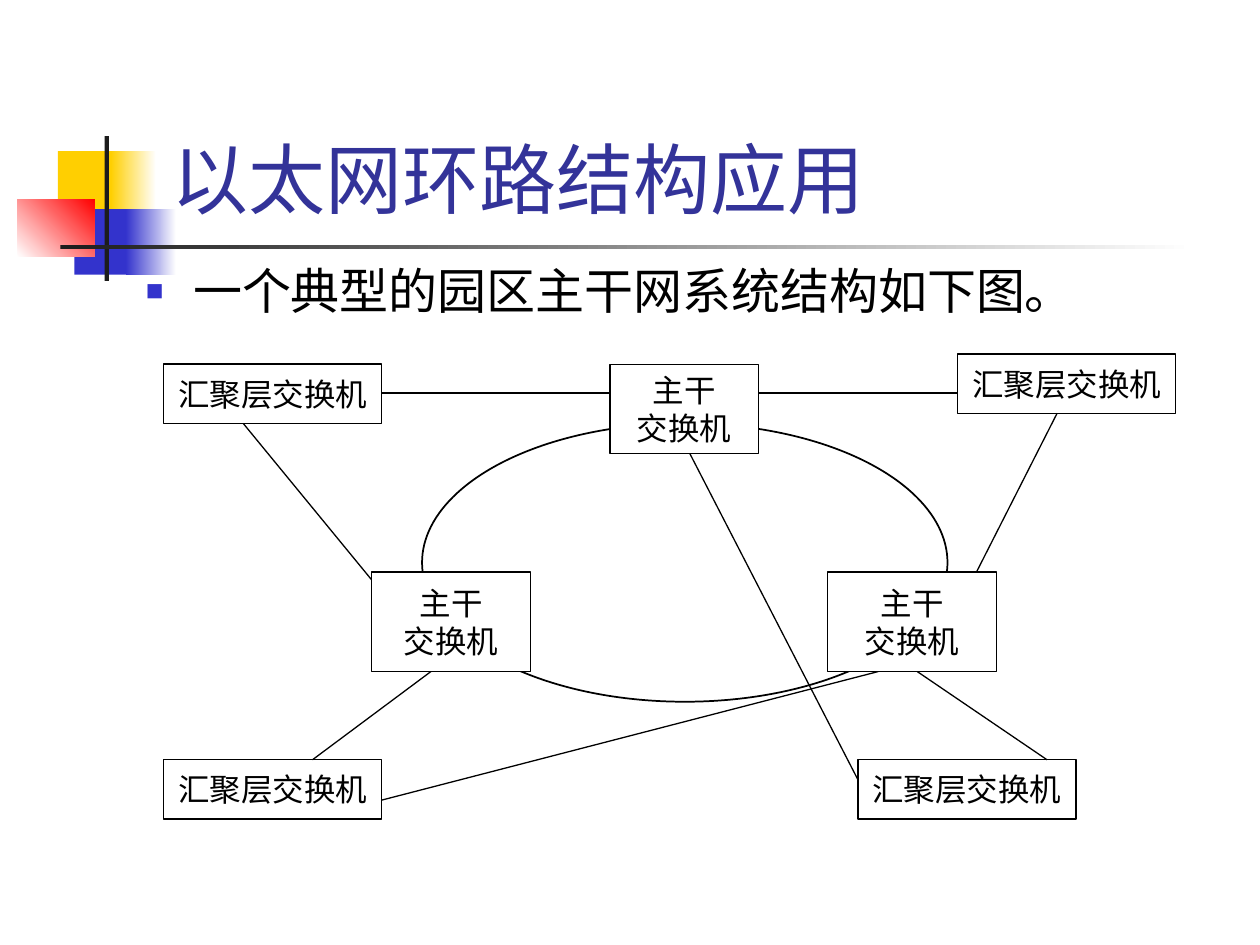
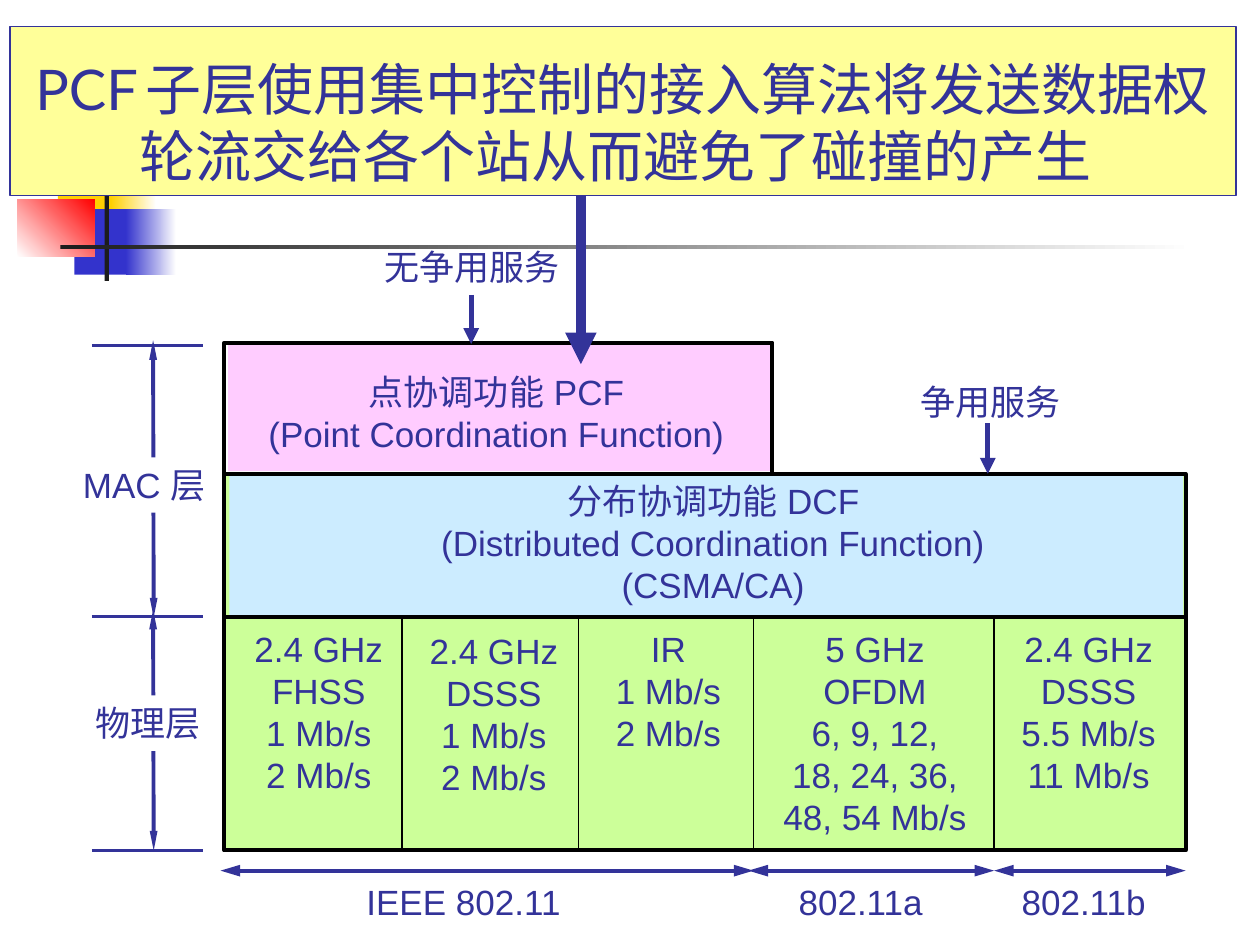
from dataclasses import dataclass
from typing import NamedTuple, Optional

from lxml import etree
from pptx import Presentation
from pptx.dml.color import RGBColor
from pptx.enum.shapes import MSO_CONNECTOR, MSO_SHAPE
from pptx.enum.text import MSO_ANCHOR, MSO_AUTO_SIZE, PP_ALIGN
from pptx.oxml.ns import qn
from pptx.util import Emu, Inches, Pt

RECT, OVAL = MSO_SHAPE.RECTANGLE, MSO_SHAPE.OVAL
STRAIGHT = MSO_CONNECTOR.STRAIGHT
LEFT, CENTER = PP_ALIGN.LEFT, PP_ALIGN.CENTER
TOP, MIDDLE, BOTTOM = MSO_ANCHOR.TOP, MSO_ANCHOR.MIDDLE, MSO_ANCHOR.BOTTOM
NO_AUTOFIT = MSO_AUTO_SIZE.NONE
TITLE_ONLY = 5

# The slide is a grid of 100 columns by 75 rows of square cells.
SLIDE_W, SLIDE_H = Inches(10), Inches(7.5)
CELL = SLIDE_W / 100


@dataclass(frozen=True)
class Theme:
    black: str = "000000"
    white: str = "FFFFFF"
    ink: str = "1C1C1C"
    navy: str = "333399"
    blue: str = "3333CC"
    gold: str = "FFCF01"
    red: str = "FF0000"
    banner: str = "FFFF99"
    phy: str = "CCFF99"
    dcf: str = "CCECFF"
    pcf: str = "FFCCFF"
    heading_font: str = "Lato"
    label_font: str = "Arial"
    title: float = 44
    banner_title: float = 32
    banner_gap: float = 16
    body: float = 28
    label: float = 20
    node: float = 18
    thin: float = 0.75
    ring: float = 1
    tick: float = 1.5
    frame: float = 2.25
    service: float = 3
    callout: float = 6


T = Theme()


class Box(NamedTuple):
    """Position and size in grid cells."""
    x: float
    y: float
    w: float
    h: float


class Style(NamedTuple):
    size: float
    font: str
    color: str
    align: PP_ALIGN = CENTER


class Line(NamedTuple):
    x1: float
    y1: float
    x2: float
    y2: float


class Arrow(NamedTuple):
    """Arrowhead proportions, and whether the start has a head too."""
    width: str = "med"
    length: str = "med"
    both: bool = False


class Accent(NamedTuple):
    """A piece of the corner ornament: solid if it has no end colour."""
    box: Box
    start: str
    end: Optional[str] = None
    angle: float = 0


class Label(NamedTuple):
    box: Box
    text: str
    fill: Optional[str] = None
    align: PP_ALIGN = LEFT


class PhyColumn(NamedTuple):
    right: float
    center: float
    top: float
    text: str


NODE = Style(T.node, T.heading_font, T.black)
TITLE = Style(T.title, T.heading_font, T.navy, LEFT)
BANNER = Style(T.banner_title, T.heading_font, T.navy)
BODY = Style(T.body, T.heading_font, T.black, LEFT)

ACCENTS = (
    Accent(Box(4.6, 12, 4.8, 5.2), T.gold),
    Accent(Box(8.8, 12, 3.6, 5.2), T.gold, T.white),
    Accent(Box(5.9, 16.6, 4.6, 5.2), T.blue),
    Accent(Box(10, 16.6, 4, 5.2), T.blue, T.white),
    Accent(Box(1.4, 15.8, 6.1, 4.6), T.white, T.red, 45),
    Accent(Box(8.3, 10.8, 0.35, 11.5), T.ink),
    Accent(Box(4.8, 19.45, 90, 0.35), T.ink, T.white),
)


def cells(*values: float) -> list[Emu]:
    return [Emu(round(v * CELL)) for v in values]


def rgb(color: str) -> RGBColor:
    return RGBColor.from_string(color)


def format_run(r, style: Style) -> None:
    r.font.size, r.font.name = Pt(style.size), style.font
    r.font.color.rgb = rgb(style.color)
    ea = etree.SubElement(r.font._element, qn("a:ea"))
    ea.set("typeface", style.font)


def set_text(tf, text: str, style: Style, anchor=TOP, wrap: bool = False) -> None:
    tf.text = text
    tf.word_wrap, tf.vertical_anchor = wrap, anchor
    for p in tf.paragraphs:
        p.alignment = style.align
        for r in p.runs:
            format_run(r, style)


def paint(sp, fill: Optional[str], line: Optional[str], width: float) -> None:
    if fill:
        sp.fill.solid()
        sp.fill.fore_color.rgb = rgb(fill)
    else:
        sp.fill.background()
    if line:
        sp.line.color.rgb, sp.line.width = rgb(line), Pt(width)
    else:
        sp.line.fill.background()


def add_box(s, box: Box, fill=None, line=None, width: float = T.thin, kind=RECT):
    sp = s.shapes.add_shape(kind, *cells(*box))
    sp.shadow.inherit = False
    paint(sp, fill, line, width)
    return sp


def add_line(s, line: Line, color: str, width: float,
             arrow: Optional[Arrow] = None) -> None:
    cx = s.shapes.add_connector(STRAIGHT, *cells(*line))
    cx.line.color.rgb, cx.line.width = rgb(color), Pt(width)
    etree.SubElement(cx.element.spPr, qn("a:effectLst"))
    if arrow:
        for tag in ("a:headEnd", "a:tailEnd") if arrow.both else ("a:tailEnd",):
            etree.SubElement(cx.get_or_add_ln(), qn(tag), type="triangle",
                             w=arrow.width, len=arrow.length)


def add_label(s, label: Label) -> None:
    style = Style(T.label, T.label_font, T.navy, label.align)
    if label.fill:
        sp = add_box(s, label.box, label.fill)
    else:
        sp = s.shapes.add_textbox(*cells(*label.box))
    set_text(sp.text_frame, label.text, style)


def new_slide(prs, title_box: Box):
    """Add a slide with the corner ornament behind its placed title."""
    s = prs.slides.add_slide(prs.slide_layouts[TITLE_ONLY])
    for accent in ACCENTS:
        sp = add_box(s, accent.box, accent.start)
        if accent.end:
            sp.fill.gradient()
            sp.fill.gradient_angle = accent.angle
            for stop, color in zip(sp.fill.gradient_stops, (accent.start, accent.end)):
                stop.color.rgb = rgb(color)
    title = s.shapes.title
    s.shapes.element.append(title.element)
    title.left, title.top, title.width, title.height = cells(*title_box)
    title.text_frame.auto_size = NO_AUTOFIT
    return s


def add_bullet(s, box: Box, text: str) -> None:
    tf = s.shapes.add_textbox(*cells(*box)).text_frame
    set_text(tf, text, BODY, wrap=True)
    p = tf.paragraphs[0]
    p.space_before = Pt(7)
    pPr = p._p.get_or_add_pPr()
    indent = cells(3.75)[0]
    pPr.set("marL", str(indent))
    pPr.set("indent", str(-indent))
    color = etree.SubElement(pPr, qn("a:buClr"))
    etree.SubElement(color, qn("a:srgbClr"), val=T.blue)
    etree.SubElement(pPr, qn("a:buSzPct"), val="60000")
    etree.SubElement(pPr, qn("a:buFont"), typeface=T.label_font)
    etree.SubElement(pPr, qn("a:buChar"), char="■")


def build_ring_slide(prs) -> None:
    s = new_slide(prs, Box(12.6, 2.3, 85.2, 16))
    set_text(s.shapes.title.text_frame, "以太网环路结构应用", TITLE, BOTTOM, True)
    add_bullet(s, Box(10.6, 20.2, 85, 45), "一个典型的园区主干网系统结构如下图。")

    links = (
        Line(33.5, 50.9, 19.3, 33.6), Line(30.3, 31.2, 48.4, 31.2),
        Line(60.2, 31.2, 76, 31.2), Line(83.9, 32.8, 77.5, 45.4),
        Line(72.8, 53.3, 83.1, 60.3), Line(69.7, 53.3, 30.3, 63.5),
        Line(34.2, 53.3, 24.8, 60.3), Line(54.7, 35.9, 68.1, 61.9),
    )
    for link in links:
        add_line(s, link, T.black, T.thin)
    add_box(s, Box(33.5, 33.6, 41.7, 22.1), None, T.black, T.ring, OVAL)

    core = (Box(29.5, 45.4, 12.6, 7.9), Box(48.4, 28.9, 11.8, 7.1),
            Box(65.7, 45.4, 13.4, 7.9))
    access = [Box(x, y, 17.3, 4.7)
              for x, y in ((13, 28.9), (76, 28.1), (68.1, 60.3), (13, 60.3))]
    for boxes, fill, text in ((core, T.white, "主干\n交换机"),
                              (access, None, "汇聚层交换机")):
        for box in boxes:
            sp = add_box(s, box, fill, T.black)
            set_text(sp.text_frame, text, NODE, MIDDLE)


def set_banner(title) -> None:
    paint(title, T.banner, T.navy, T.thin)
    tf = title.text_frame
    tf.word_wrap, tf.vertical_anchor = True, BOTTOM
    p = tf.paragraphs[0]
    p.alignment = CENTER
    gap = BANNER._replace(size=T.banner_gap)
    for text, style in (("PCF", BANNER), (" ", gap),
                        ("子层使用集中控制的接入算法将发送数据权", BANNER),
                        ("轮流交给各个站从而避免了碰撞的产生 ", BANNER)):
        if text.startswith("轮流"):
            p.add_line_break()
        r = p.add_run()
        r.text = text
        format_run(r, style)


def build_mac_slide(prs) -> None:
    s = new_slide(prs, Box(0.8, 2.1, 97.3, 13.4))
    set_banner(s.shapes.title)

    left, right = 17.8, 94.1
    pcf_top, dcf_top, phy_top, bottom = 27.2, 37.6, 48.95, 67.5
    for y1, y2 in ((27, 49), (48.4, bottom)):
        add_line(s, Line(12.15, y1, 12.2, y2), T.navy, T.frame,
                 Arrow("sm", "lg", True))
    add_label(s, Label(Box(5.6, 36.3, 12.4, 4.4), "MAC 层", T.white))
    add_label(s, Label(Box(6.6, 55.2, 10.3, 4.4), "物理层", T.white))

    add_box(s, Box(left, dcf_top, right - left, bottom - dcf_top),
            T.phy, T.black, T.frame)
    add_box(s, Box(18.2, 37.8, 75.7, 11), T.dcf)
    add_box(s, Box(18.1, pcf_top, 43.2, 10.2), T.pcf)
    add_box(s, Box(left, pcf_top, 43.5, dcf_top - pcf_top), None, T.black, T.frame)
    add_line(s, Line(left, phy_top, right, phy_top), T.black, T.frame)

    columns = (
        PhyColumn(31.9, 25.3, 49.3, "2.4 GHz\nFHSS\n1 Mb/s\n2 Mb/s"),
        PhyColumn(45.9, 39.2, 49.5, "2.4 GHz\nDSSS\n1 Mb/s\n2 Mb/s"),
        PhyColumn(59.8, 53.05, 49.3, "IR\n1 Mb/s\n2 Mb/s"),
        PhyColumn(78.9, 69.45, 49.3, "5 GHz\nOFDM\n6, 9, 12,\n18, 24, 36,\n48, 54 Mb/s"),
        PhyColumn(right, 86.4, 49.3, "2.4 GHz\nDSSS\n5.5 Mb/s\n11 Mb/s"),
    )
    start = left
    for column in columns:
        width = column.right - start
        box = Box(column.center - width / 2, column.top, width, 17.7)
        add_label(s, Label(box, column.text, align=CENTER))
        start = column.right
    for column in columns[:-1]:
        add_line(s, Line(column.right, phy_top, column.right, bottom), T.black, T.thin)

    for y in (27.4, phy_top, bottom):
        add_line(s, Line(7.3, y, 16.1, y), T.navy, T.tick)

    labels = (
        Label(Box(29.5, 19, 17.3, 4.4), "无争用服务"),
        Label(Box(72.1, 29.7, 13.1, 4.4), "争用服务"),
        Label(Box(26.6, 37.6, 60, 11),
              "分布协调功能 DCF\n(Distributed Coordination Function)\n(CSMA/CA)",
              align=CENTER),
        Label(Box(18.9, 28.9, 41, 7.7),
              "点协调功能 PCF\n(Point Coordination Function)", align=CENTER),
        Label(Box(28.1, 69.4, 17.6, 4.4), "IEEE 802.11", T.white),
        Label(Box(62.4, 69.4, 12, 4.4), "802.11a", T.white),
        Label(Box(80.1, 69.4, 12, 4.4), "802.11b", T.white),
    )
    for label in labels:
        add_label(s, label)

    for x1, x2 in ((17.5, 59.8), (59.4, 78.9), (78.9, right)):
        add_line(s, Line(x1, 69.1, x2, 69.1), T.navy, T.frame,
                 Arrow("med", "lg", True))
    for x, y1, y2, width in ((37.4, 23.4, 27.3, T.service),
                             (78.4, 33.6, 37.6, T.service),
                             (46.1, 15.5, 28.9, T.callout)):
        add_line(s, Line(x, y1, x, y2), T.navy, width, Arrow())


def main() -> None:
    prs = Presentation()
    prs.slide_width, prs.slide_height = SLIDE_W, SLIDE_H
    build_ring_slide(prs)
    build_mac_slide(prs)
    prs.save("out.pptx")


if __name__ == "__main__":
    main()
